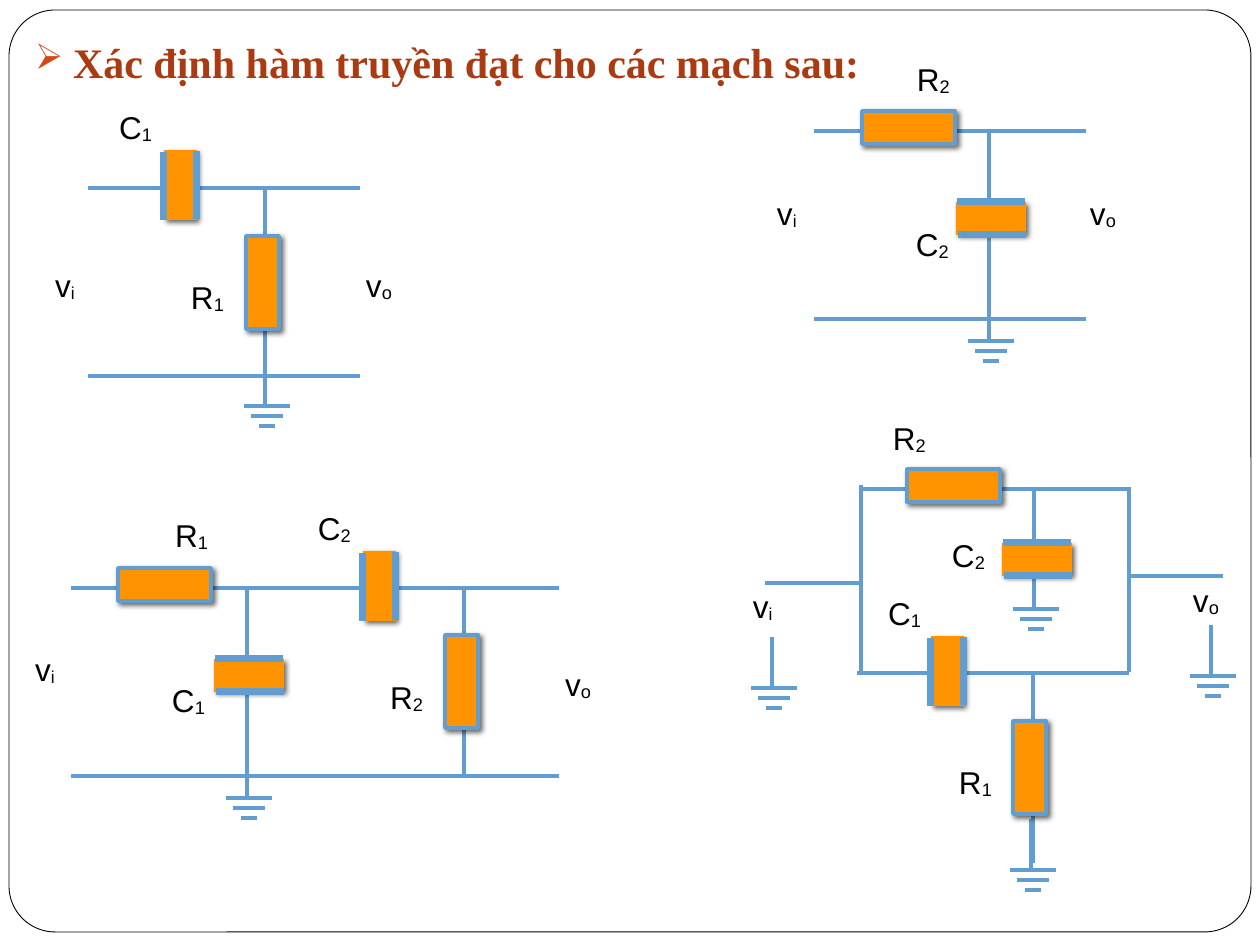
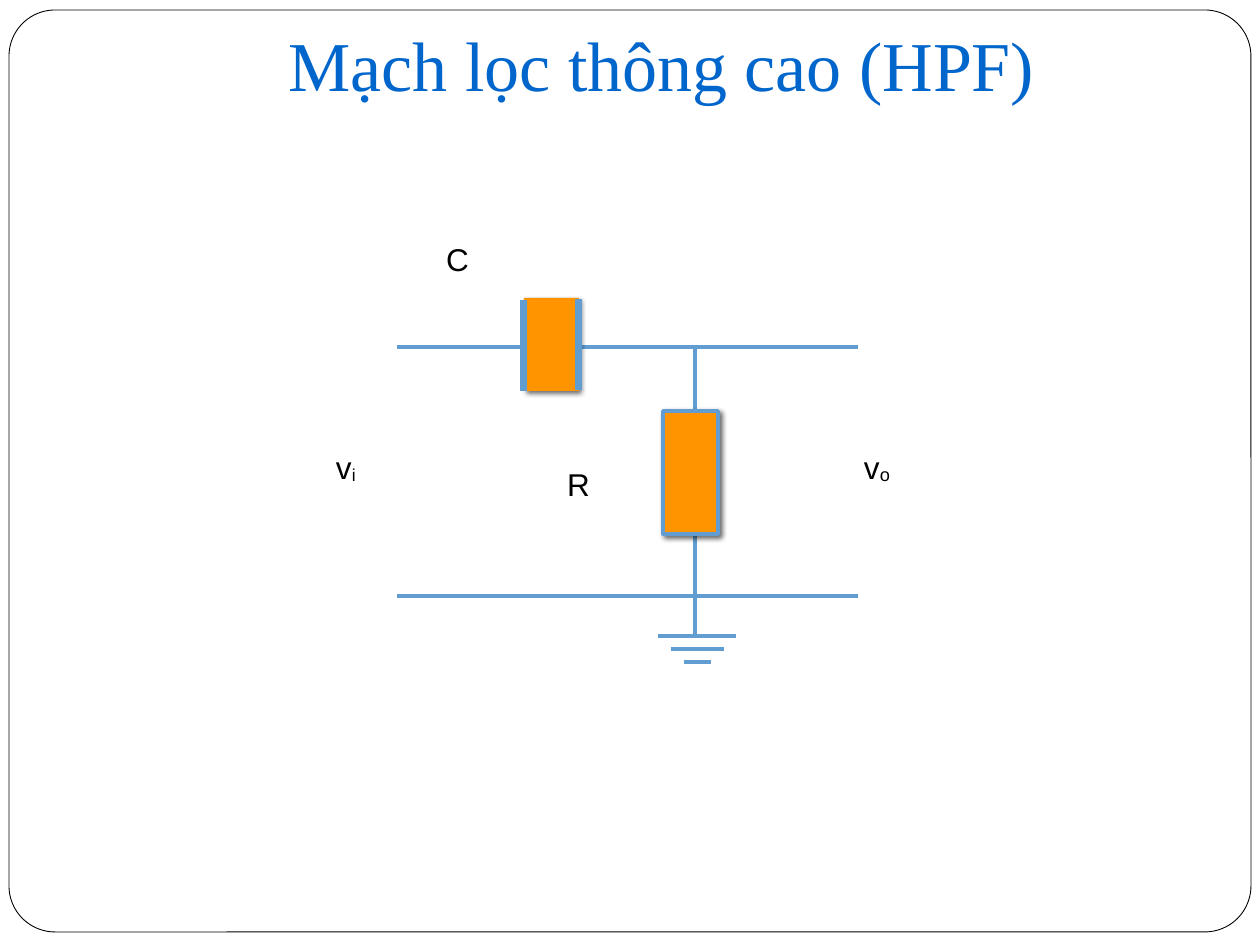
import lxml.etree
import pptx
import pptx.dml.color
import pptx.enum.shapes
import pptx.enum.text
import pptx.oxml
import pptx.oxml.ns
import pptx.util

PX = 7257  # EMU in one px, 126 px to the inch
RGB = pptx.dml.color.RGBColor
WHITE, BLACK = RGB(0xFF, 0xFF, 0xFF), RGB(0, 0, 0)
WIRE_BLUE = RGB(0x62, 0x9D, 0xD1)
PART_ORANGE = RGB(0xFF, 0x93, 0x00)
HEADING_RED = RGB(0xA9, 0x3A, 0x12)
TITLE_BLUE = RGB(0x00, 0x66, 0xCC)
WIRE_WIDTH, PLATE_WIDTH = 2.08, 4
NS = pptx.oxml.ns.nsdecls("a")
SHADOW = (f'<a:effectLst {NS}><a:outerShdw blurRad="38100" dist="25400" dir="2700000">'
          '<a:srgbClr val="000000"><a:alpha val="60000"/></a:srgbClr>'
          '</a:outerShdw></a:effectLst>')
BULLET = (f'<a:buClr {NS}><a:srgbClr val="D34817"/></a:buClr>',
          f'<a:buSzPct {NS} val="85000"/>',
          f'<a:buChar {NS} char="➢"/>')


def add_line(page, x1, y1, x2, y2, width=WIRE_WIDTH):
    line = page.shapes.add_connector(
        pptx.enum.shapes.MSO_CONNECTOR.STRAIGHT, x1 * PX, y1 * PX, x2 * PX, y2 * PX)
    line.line.color.rgb = WIRE_BLUE
    line.line.width = pptx.util.Pt(width)
    lxml.etree.SubElement(line._element.spPr, pptx.oxml.ns.qn("a:effectLst"))


def add_text(page, left, top, width, height, text, font, size, color):
    box = page.shapes.add_textbox(left * PX, top * PX, width * PX, height * PX)
    frame = box.text_frame
    frame.word_wrap = True
    frame.margin_left = frame.margin_right = 6 * PX
    frame.margin_top = frame.margin_bottom = 6 * PX
    span = frame.paragraphs[0].add_run()
    span.text = text
    span.font.name = font
    span.font.size = pptx.util.Pt(size)
    span.font.color.rgb = color
    return frame


# Four circuits: wires by end points, grounds by stem x and first bar y,
# parts by left, top and whether they stand upright, labels by left and top
four_circuits = {
    "wires": [
        (88, 188, 360, 188), (265, 187, 265, 378), (88, 376, 360, 376),
        (814, 131, 1086, 131), (989, 130, 989, 321), (814, 319, 1086, 319),
        (71, 588, 559, 588), (247, 587, 247, 777), (71, 776, 559, 776),
        (464, 587, 464, 777),
        (859, 489, 1131, 489), (1034, 488, 1034, 610), (857, 673, 1129, 673),
        (1033, 672, 1033, 863), (861, 673, 861, 485), (1129, 672, 1129, 490),
        (765, 583, 861, 583), (1128, 576, 1223, 576)],
    "grounds": [(265, 406), (989, 341), (247, 798), (1034, 609),
                (1031, 870), (772, 688), (1211, 676)],
    "resistors": [(246, 236, True), (862, 111, False), (118, 568, False),
                  (445, 635, True), (907, 469, False), (1013, 721, True)],
    "capacitors": [(164, 150, True), (956, 202, False), (214, 659, False),
                   (363, 551, True), (931, 636, True), (1002, 543, False)],
    "labels": [
        ("C", "1", 113, 102), ("R", "1", 185, 272), ("v", "i", 49, 260), ("v", "o", 360, 260),
        ("C", "2", 910, 219), ("R", "2", 911, 54), ("v", "i", 771, 188), ("v", "o", 1084, 188),
        ("C", "1", 166, 675), ("R", "1", 169, 510), ("C", "2", 312, 503), ("R", "2", 384, 672),
        ("v", "i", 29, 644), ("v", "o", 559, 659),
        ("C", "2", 946, 530), ("R", "2", 887, 413), ("C", "1", 882, 588), ("R", "1", 953, 757),
        ("v", "i", 747, 581), ("v", "o", 1187, 575)],
    "thickness": 33, "resistor length": 93, "capacitor length": 70,
    "stem": 51, "bars": (46, 32, 16), "bar gap": 10, "label size": (79, 76),
}

# One larger high-pass filter
high_pass = {
    "wires": [(397, 347, 858, 347), (695, 346, 695, 599), (397, 596, 858, 596)],
    "grounds": [(695, 636)],
    "resistors": [(663, 411, True)],
    "capacitors": [(524, 298, True)],
    "labels": [("C", "", 440, 234), ("R", "", 561, 459),
               ("v", "i", 330, 442), ("v", "o", 858, 442)],
    "thickness": 55, "resistor length": 123, "capacitor length": 93,
    "stem": 68, "bars": (78, 53, 27), "bar gap": 13, "label size": (135, 100),
}

deck = pptx.Presentation()
deck.slide_width, deck.slide_height = 1260 * PX, 945 * PX
pages = []

for circuit in (four_circuits, high_pass):
    page = deck.slides.add_slide(deck.slide_layouts[6])
    pages.append(page)

    # Rounded page frame
    frame_shape = page.shapes.add_shape(
        pptx.enum.shapes.MSO_SHAPE.ROUNDED_RECTANGLE, 9 * PX, 10 * PX, 1242 * PX, 922 * PX)
    frame_shape.adjustments[0] = 0.05
    frame_shape.shadow.inherit = False
    frame_shape.fill.solid()
    frame_shape.fill.fore_color.rgb = WHITE
    frame_shape.line.color.rgb = BLACK
    frame_shape.line.width = pptx.util.Pt(0.5)

    # Wires and ground symbols
    for wire in circuit["wires"]:
        add_line(page, *wire)
    for x, y in circuit["grounds"]:
        add_line(page, x, y - circuit["stem"], x, y + 1)
        for row, bar in enumerate(circuit["bars"]):
            bar_left = x + 2 - bar // 2
            bar_y = y + row * circuit["bar gap"]
            add_line(page, bar_left, bar_y, bar_left + bar, bar_y)

    # Resistors have an outline, capacitors have two plates
    for kind in ("resistor", "capacitor"):
        for left, top, upright in circuit[kind + "s"]:
            width, height = circuit["thickness"], circuit[kind + " length"]
            if not upright:
                width, height = height, width
            part = page.shapes.add_shape(
                pptx.enum.shapes.MSO_SHAPE.RECTANGLE,
                left * PX, top * PX, width * PX, height * PX)
            part.fill.solid()
            part.fill.fore_color.rgb = PART_ORANGE
            if kind == "resistor":
                part.line.color.rgb = WIRE_BLUE
                part.line.width = pptx.util.Pt(WIRE_WIDTH)
            else:
                part.line.fill.background()
            part._element.spPr.append(pptx.oxml.parse_xml(SHADOW))
            if kind == "capacitor":
                right, bottom = left + width, top + height
                if upright:
                    add_line(page, left, top + 2, left, bottom, PLATE_WIDTH)
                    add_line(page, right, top + 1, right, bottom - 1, PLATE_WIDTH)
                else:
                    add_line(page, left + 1, top, right - 1, top, PLATE_WIDTH)
                    add_line(page, left + 2, bottom, right, bottom, PLATE_WIDTH)

    # Labels with subscripts
    for name, subscript, left, top in circuit["labels"]:
        label = add_text(page, left, top, *circuit["label size"], name, "Arial", 18, BLACK)
        if subscript:
            span = label.paragraphs[0].add_run()
            span.text = subscript
            span.font.name = "Arial"
            span.font.size = pptx.util.Pt(17 if subscript == "i" else 18)
            span.font.color.rgb = BLACK
            span.font._element.set("baseline", "-6000")

# Bulleted heading of the exercise
heading = add_text(pages[0], 29, 30, 1155, 97, "Xác định hàm truyền đạt cho các mạch sau:",
                   "Times New Roman", 24, HEADING_RED)
para = heading.paragraphs[0]
para.runs[0].font.bold = True
properties = para._p.get_or_add_pPr()
properties.set("marL", str(38 * PX))
properties.set("indent", str(-38 * PX))
for element in BULLET:
    properties.append(pptx.oxml.parse_xml(element))

# Centred title of the filter
title = add_text(pages[1], 126, 19, 1071, 92, "Mạch lọc thông cao (HPF)",
                 "Times New Roman", 40, TITLE_BLUE)
title.vertical_anchor = pptx.enum.text.MSO_ANCHOR.BOTTOM
title.paragraphs[0].alignment = pptx.enum.text.PP_ALIGN.CENTER

deck.save("out.pptx")
